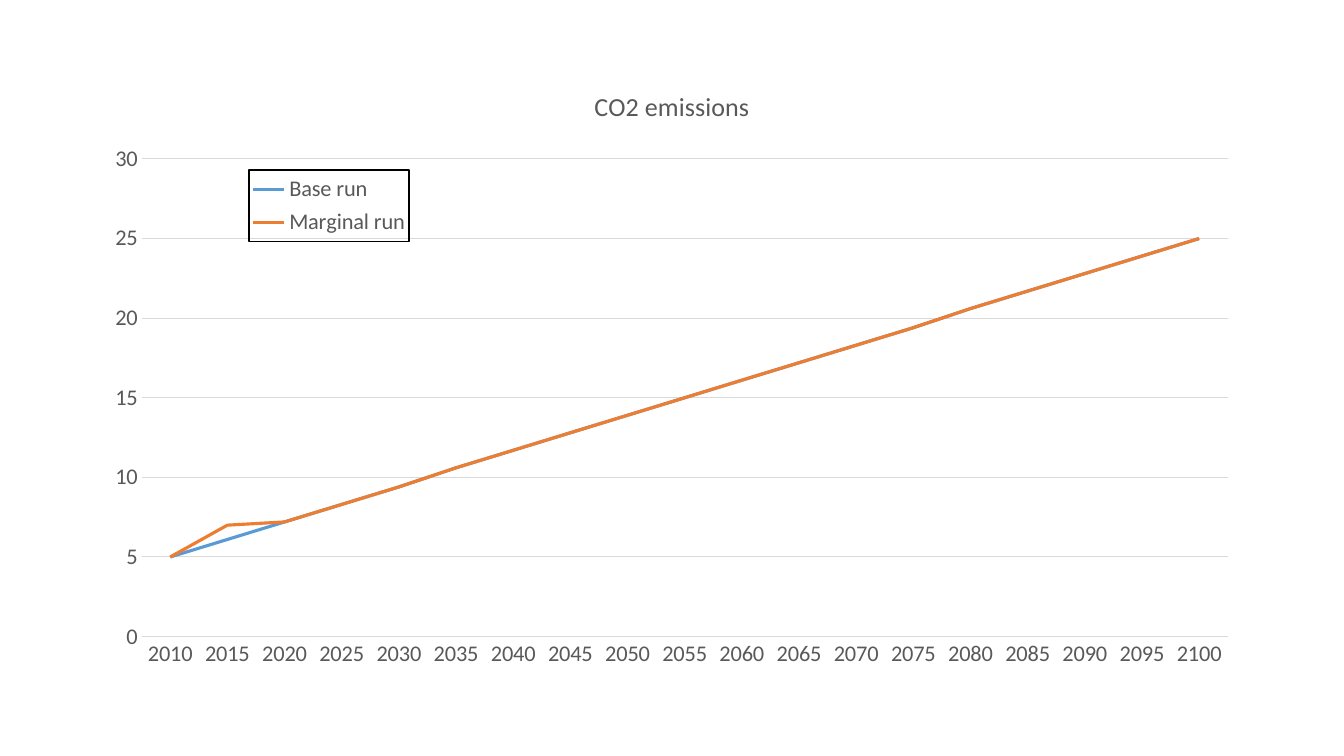
from lxml.etree import fromstring
from pptx import Presentation
from pptx.chart.data import CategoryChartData
from pptx.dml.color import RGBColor
from pptx.enum.chart import XL_CHART_TYPE as ChartType
from pptx.enum.chart import XL_LEGEND_POSITION as LegendPosition
from pptx.enum.chart import XL_MARKER_STYLE as Marker
from pptx.enum.chart import XL_TICK_MARK as Tick
from pptx.oxml.ns import nsdecls, qn
from pptx.util import Pt

COLORS = {"text": "595959", "grid": "D9D9D9", "base": "5B9BD5",
          "marginal": "ED7D31", "border": "000000"}


def style_font(font, size):
    font.name = "Calibri"
    font.size = Pt(size)
    font.bold = False
    font.color.rgb = RGBColor.from_string(COLORS["text"])


def place(element, index, x, y, width, height, target=""):
    for layout in element.findall(qn("c:layout")):
        element.remove(layout)
    element.insert(index, fromstring(
        f'<c:layout {nsdecls("c")}><c:manualLayout>{target}'
        '<c:xMode val="edge"/><c:yMode val="edge"/>'
        f'<c:x val="{x}"/><c:y val="{y}"/><c:w val="{width}"/><c:h val="{height}"/>'
        '</c:manualLayout></c:layout>'))


prs = Presentation()
prs.slide_width, prs.slide_height = Pt(960), Pt(540)
slide = prs.slides.add_slide(prs.slide_layouts[6])

years = range(2010, 2101, 5)
base_run = [round(5 + 20 * step / 18, 1) for step in range(len(years))]
marginal_run = base_run[:1] + [7] + base_run[2:]

emissions = CategoryChartData(number_format="General")
emissions.categories = [str(year) for year in years]
emissions.add_series("Base run", base_run)
emissions.add_series("Marginal run", marginal_run)
chart = slide.shapes.add_chart(
    ChartType.LINE, Pt(66), Pt(46.8), Pt(828), Pt(439.2), emissions).chart
style_font(chart.font, 16)

chart.has_title = True
heading = chart.chart_title.text_frame.paragraphs[0].add_run()
heading.text = "CO2 emissions"
style_font(heading.font, 18.6)
chart.chart_title.include_in_layout = False

for run, color in zip(chart.plots[0].series, ("base", "marginal")):
    run.smooth = False
    run.marker.style = Marker.NONE
    run.format.line.width = Pt(2.25)
    run.format.line.color.rgb = RGBColor.from_string(COLORS[color])
chart.plots[0].vary_by_categories = False

year_axis, emission_axis = chart.category_axis, chart.value_axis
for axis in (year_axis, emission_axis):
    axis.major_tick_mark = axis.minor_tick_mark = Tick.NONE
    style_font(axis.tick_labels.font, 16)
emission_axis.minimum_scale, emission_axis.maximum_scale = 0, 30
emission_axis.major_unit = 5
emission_axis.has_major_gridlines = True
emission_axis.format.line.fill.background()
for line in (year_axis.format.line, emission_axis.major_gridlines.format.line):
    line.width = Pt(0.75)
    line.color.rgb = RGBColor.from_string(COLORS["grid"])

chart.has_legend = True
legend = chart.legend
legend.position = LegendPosition.CORNER
legend.include_in_layout = True
style_font(legend.font, 16)

chart_root = chart.element
place(chart_root.find(".//" + qn("c:plotArea")), 0, 0.0425, 0.152, 0.937, 0.777,
      '<c:layoutTarget val="inner"/>')
legend_box = chart_root.find(".//" + qn("c:legend"))
place(legend_box, 1, 0.135, 0.17, 0.138, 0.116)
legend_box.find(qn("c:txPr")).addprevious(fromstring(
    f'<c:spPr {nsdecls("c", "a")}><a:noFill/><a:ln w="{Pt(1)}"><a:solidFill>'
    f'<a:srgbClr val="{COLORS["border"]}"/></a:solidFill></a:ln></c:spPr>'))

prs.save("out.pptx")
